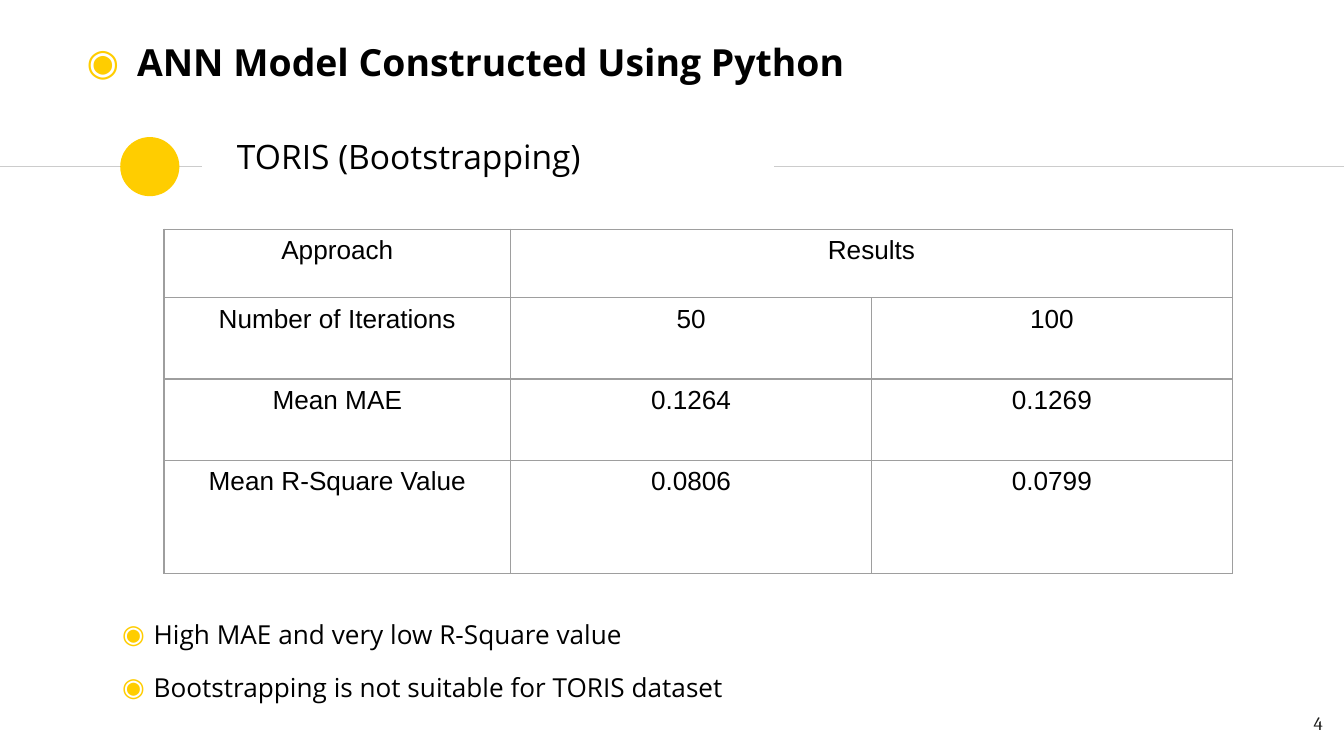
from lxml.etree import SubElement
from pptx import Presentation
from pptx.dml.color import RGBColor
from pptx.enum.shapes import MSO_CONNECTOR, MSO_SHAPE
from pptx.enum.text import MSO_ANCHOR, PP_ALIGN
from pptx.oxml import parse_xml
from pptx.oxml.ns import nsdecls, qn
from pptx.util import Emu, Pt

PX = 4572  # 200 px to the inch
COLORS = {"text": "000000", "accent": "FFCD00", "rule": "CCCCCC",
          "border": "9E9E9E", "number": "1D1D1B"}


def px(length):
    return Emu(length * PX)


def rgb(name):
    return RGBColor.from_string(COLORS[name])


class SlideBuilder:
    def __init__(self, page):
        self.page = page
        self.font = "Open Sans"

    def style(self, para, text, size, font=None, color="text", bold=False,
              align=PP_ALIGN.LEFT, margin=0, indent=0, bullet=None):
        para.text = text
        para.alignment = align
        props = para._p.get_or_add_pPr()
        props.set("marL", str(px(margin)))
        props.set("indent", str(px(indent)))
        if bullet:
            bullet_color = SubElement(props, qn("a:buClr"))
            SubElement(bullet_color, qn("a:srgbClr"), val=COLORS["accent"])
            SubElement(props, qn("a:buFont"), typeface=self.font)
            SubElement(props, qn("a:buChar"), char=bullet)
        para.font.name = font or self.font
        para.font.size = Pt(size)
        para.font.bold = bold
        para.font.color.rgb = rgb(color)

    def fill_frame(self, frame, text, size, inset, anchor, **style):
        frame.word_wrap = True
        frame.vertical_anchor = anchor
        frame.margin_left = frame.margin_right = px(20)
        frame.margin_top = frame.margin_bottom = px(inset)
        self.style(frame.paragraphs[0], text, size, **style)

    def title(self, text, left, top, width, height, size, **style):
        box = self.page.shapes.title
        box.left, box.top, box.width, box.height = map(px, (left, top, width, height))
        self.fill_frame(box.text_frame, text, size, 20, MSO_ANCHOR.MIDDLE, **style)

    def text(self, text, left, top, width, height, size, inset=20, **style):
        box = self.page.shapes.add_textbox(*map(px, (left, top, width, height)))
        self.fill_frame(box.text_frame, text, size, inset, MSO_ANCHOR.TOP, **style)

    def rule(self, left, right, y):
        line = self.page.shapes.add_connector(
            MSO_CONNECTOR.STRAIGHT, px(left), px(y), px(right), px(y))
        line.line.color.rgb = rgb("rule")
        line.line.width = Pt(0.75)
        SubElement(line._element.spPr, qn("a:effectLst"))

    def dot(self, left, top, size):
        dot = self.page.shapes.add_shape(
            MSO_SHAPE.OVAL, px(left), px(top), px(size), px(size))
        dot.shadow.inherit = False
        dot.fill.solid()
        dot.fill.fore_color.rgb = rgb("accent")
        dot.line.fill.background()

    def border(self, cell):
        cell.fill.background()
        props = cell._tc.get_or_add_tcPr()
        for position, side in enumerate(("lnL", "lnR", "lnT", "lnB")):
            props.insert(position, parse_xml(
                f'<a:{side} {nsdecls("a")} w="{Pt(0.75)}"><a:solidFill>'
                f'<a:srgbClr val="{COLORS["border"]}"/></a:solidFill></a:{side}>'))

    def table(self, rows, left, top, widths, heights, size, font):
        frame = self.page.shapes.add_table(
            len(rows), len(widths), px(left), px(top), px(sum(widths)), px(sum(heights)))
        table = frame.table
        table.first_row = table.horz_banding = False
        for column, width in zip(table.columns, widths):
            column.width = px(width)
        for row, height, texts in zip(table.rows, heights, rows):
            row.height = px(height)
            for cell, text in zip(row.cells, texts):
                self.border(cell)
                if text:
                    self.style(cell.text_frame.paragraphs[0], text, size,
                               font=font, align=PP_ALIGN.CENTER)
        return table


def main():
    deck = Presentation()
    deck.slide_width, deck.slide_height = px(2000), px(1125)
    slide = SlideBuilder(deck.slides.add_slide(deck.slide_layouts[5]))

    slide.rule(0, 300, 248)
    slide.dot(179, 204, 88)
    slide.rule(1152, 2000, 248)
    slide.text("TORIS (Bootstrapping)", 309, 182, 1344, 90, 18, margin=24)
    slide.text("4", 1868, 1042, 120, 83, 10, font="Cambria", color="number",
               align=PP_ALIGN.RIGHT)
    slide.title("ANN Model Constructed Using Python", 84, 43, 1856, 96, 20,
                bold=True, margin=100, indent=-75, bullet="◉")

    results = slide.table(
        [("Approach", "Results", ""),
         ("Number of Iterations", "50", "100"),
         ("Mean MAE", "0.1264", "0.1269"),
         ("Mean R-Square Value", "0.0806", "0.0799")],
        244, 341, (516, 537, 537), (102, 121, 121, 169), 14, "Arial")
    results.cell(0, 1).merge(results.cell(0, 2))

    findings = ("High MAE and very low R-Square value",
                "Bootstrapping is not suitable for TORIS dataset")
    for index, finding in enumerate(findings):
        slide.text(finding, 162, 910 + 79 * index, 1676, 68, 14, inset=10,
                   margin=47, indent=-47, bullet="◉")

    deck.save("out.pptx")


if __name__ == "__main__":
    main()
